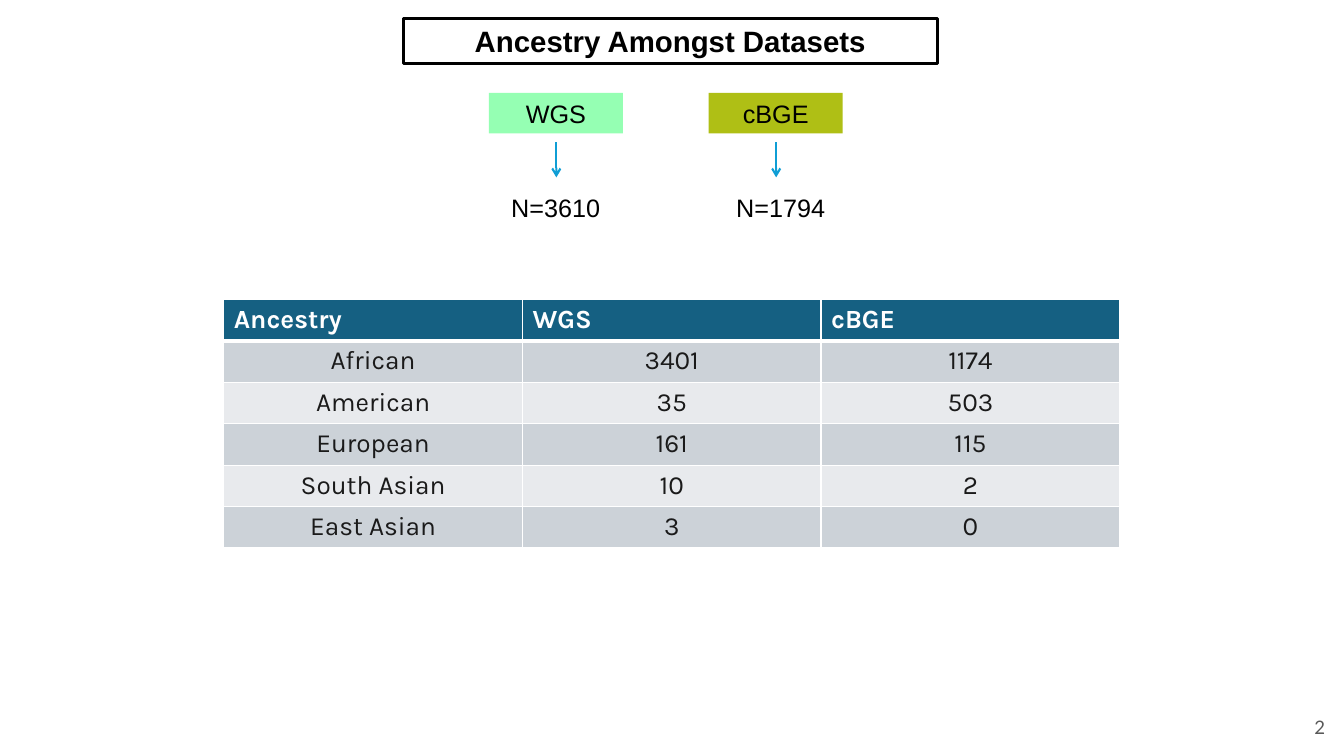
from lxml.etree import SubElement
from pptx import Presentation
from pptx.dml.color import RGBColor
from pptx.enum.shapes import MSO_CONNECTOR, MSO_SHAPE
from pptx.enum.text import MSO_ANCHOR, MSO_AUTO_SIZE, PP_ALIGN
from pptx.oxml.ns import qn
from pptx.util import Cm, Pt

COLOURS = {
    "text": "000000", "white": "FFFFFF", "number": "595959", "arrow": "0F9ED5",
    "wgs": "95FFB3", "cbge": "AFBF15", "header": "156082", "cell": "1A1A1A",
    "band_dark": "CCD2D8", "band_light": "E8EAED",
}
LABEL = {"name": "Arial", "size": Pt(18), "bold": False}
TITLE = {"name": "Arial", "size": Pt(21), "bold": True}
NUMBER = {"name": "Lato", "size": Pt(13.3), "bold": False}
HEADER = {"name": "Karla", "size": Pt(18.7), "bold": True}
CELL = {**HEADER, "bold": False}

DATASETS = [("WGS", "N=3610", "wgs"), ("cBGE", "N=1794", "cbge")]
ANCESTRY = [
    ("Ancestry", "WGS", "cBGE"),
    ("African", "3401", "1174"),
    ("American", "35", "503"),
    ("European", "161", "115"),
    ("South Asian", "10", "2"),
    ("East Asian", "3", "0"),
]


def rgb(name):
    """Return the named colour of the palette."""
    return RGBColor.from_string(COLOURS[name])


class SlideBuilder:
    """Holds the style and the current slide, and adds its elements."""

    def __init__(self, deck):
        """Add a title-only page to the deck."""
        self.page = deck.slides.add_slide(deck.slide_layouts[5])

    def fill_text(self, frame, text, style, colour="text", align=PP_ALIGN.CENTER):
        """Put one formatted paragraph in a text frame."""
        para = frame.paragraphs[0]
        para.alignment = align
        span = para.add_run()
        span.text = text
        for key, value in style.items():
            setattr(span.font, key, value)
        span.font.color.rgb = rgb(colour)

    def frame(self, box, wrap=True):
        """Centre the text of a box vertically and return its frame."""
        layout = {"word_wrap": wrap, "auto_size": MSO_AUTO_SIZE.NONE,
                  "vertical_anchor": MSO_ANCHOR.MIDDLE}
        for key, value in layout.items():
            setattr(box.text_frame, key, value)
        return box.text_frame

    def title(self, text, left, top, width, height):
        """Move the title placeholder and give it an outline."""
        box = self.page.shapes.title
        place = {"left": left, "top": top, "width": width, "height": height}
        for key, value in place.items():
            setattr(box, key, Cm(value))
        box.line.color.rgb = rgb("text")
        box.line.width = Pt(2.25)
        self.fill_text(self.frame(box), text, TITLE)

    def block(self, text, fill, *place):
        """Add a filled rectangle with a label."""
        box = self.page.shapes.add_shape(MSO_SHAPE.RECTANGLE, *map(Cm, place))
        box.shadow.inherit = False
        box.fill.solid()
        box.fill.fore_color.rgb = rgb(fill)
        box.line.fill.background()
        self.fill_text(self.frame(box), text, LABEL)

    def text(self, text, style, colour, align, *place, wrap=True):
        """Add a text box."""
        box = self.page.shapes.add_textbox(*map(Cm, place))
        self.fill_text(self.frame(box, wrap), text, style, colour, align)

    def arrow(self, x, top, bottom):
        """Add a downward arrow."""
        ends = map(Cm, (x, top, x, bottom))
        arrow = self.page.shapes.add_connector(MSO_CONNECTOR.STRAIGHT, *ends)
        arrow.line.color.rgb = rgb("arrow")
        arrow.line.width = Pt(1.5)
        properties = arrow._element.spPr
        SubElement(properties.find(qn("a:ln")), qn("a:tailEnd"), type="arrow")
        SubElement(properties, qn("a:effectLst"))

    def borders(self, cell, top, bottom):
        """Draw white borders around a table cell."""
        properties = cell._tc.get_or_add_tcPr()
        for side, points in (("L", 1), ("R", 1), ("T", top), ("B", bottom)):
            line = SubElement(properties, qn(f"a:ln{side}"), w=str(Pt(points)))
            fill = SubElement(line, qn("a:solidFill"))
            SubElement(fill, qn("a:srgbClr"), val=COLOURS["white"])

    def table(self, rows, *place):
        """Add a table with a header row and banded body rows."""
        size = len(rows), len(rows[0])
        table = self.page.shapes.add_table(*size, *map(Cm, place)).table
        for r, row in enumerate(rows):
            for c, value in enumerate(row):
                cell = table.cell(r, c)
                self.borders(cell, 3 if r == 1 else 1, 3 if r == 0 else 1)
                cell.fill.solid()
                if r == 0:
                    cell.fill.fore_color.rgb = rgb("header")
                    self.fill_text(cell.text_frame, value, HEADER, "white", PP_ALIGN.LEFT)
                else:
                    band = "band_dark" if r % 2 else "band_light"
                    cell.fill.fore_color.rgb = rgb(band)
                    self.fill_text(cell.text_frame, value, CELL, "cell")


def main():
    """Build the ancestry slide and save it."""
    deck = Presentation()
    deck.slide_width, deck.slide_height = Cm(33.87), Cm(19.05)
    builder = SlideBuilder(deck)
    builder.text("2", NUMBER, "number", PP_ALIGN.RIGHT, 31.62, 17.6, 2.03, 1.45)
    builder.title("Ancestry Amongst Datasets", 10.16, 0.46, 13.46, 1.14)
    for index, (name, count, fill) in enumerate(DATASETS):
        left = 12.32 + 5.54 * index
        builder.block(name, fill, left, 2.34, 3.38, 1.02)
        builder.arrow(left + 1.7, 3.58, 4.47)
        builder.text(count, LABEL, "text", PP_ALIGN.CENTER,
                     12.62 + 5.67 * index, 4.72, 2.77, 1.02, wrap=False)
    builder.table(ANCESTRY, 5.64, 7.54, 22.58, 6.27)
    deck.save("out.pptx")


if __name__ == "__main__":
    main()
